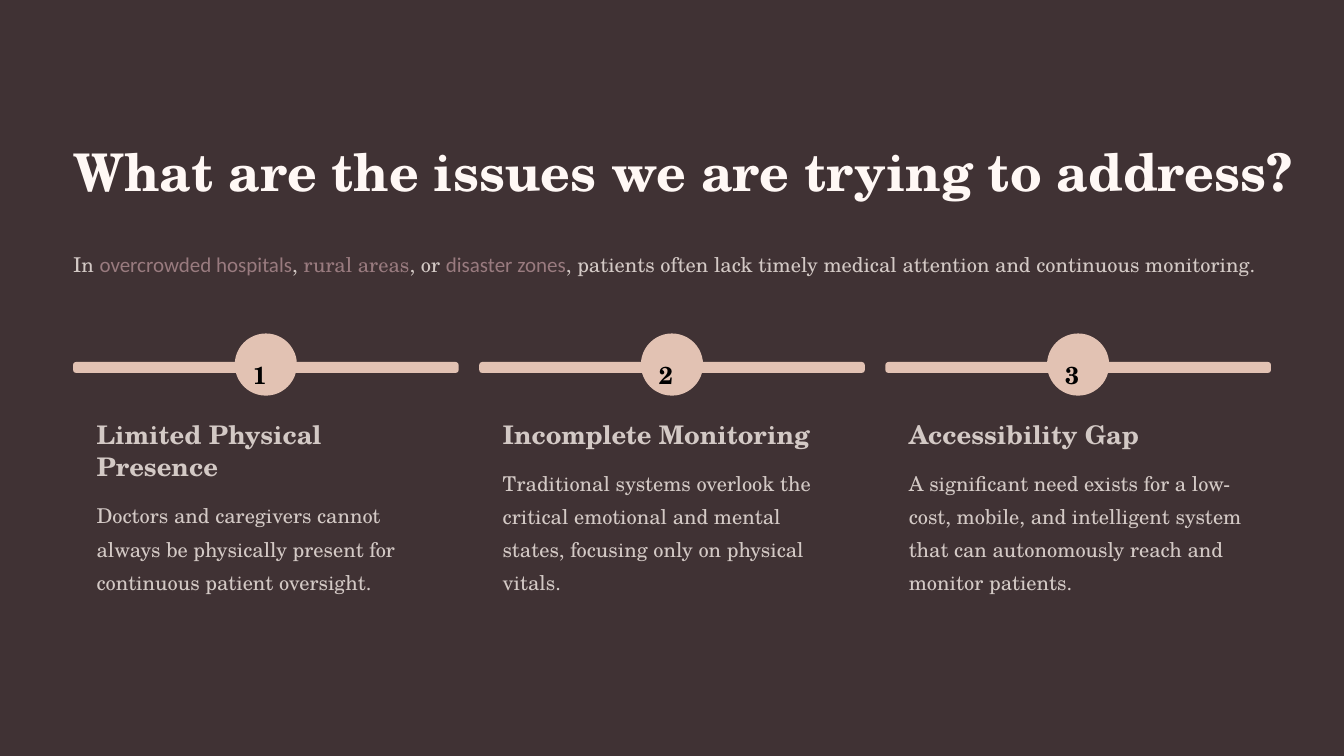
import pptx
import pptx.util
import pptx.dml.color
import pptx.enum.shapes
import pptx.enum.text

Inches = pptx.util.Inches
Pt = pptx.util.Pt
SERIF = "TeX Gyre Schola"
SANS = "Calibri"
HUES = {
    "back": "403234",
    "title": "FFF8F5",
    "body": "D3C9C5",
    "mark": "997B7F",
    "line": "E2C2B3",
    "digit": "000000",
}
LEAD = [
    ("In ", "body", SERIF, 17.5),
    ("overcrowded hospitals", "mark", SANS, 18),
    (", ", "body", SERIF, 17.5),
    ("rural areas", "mark", SERIF, 17.5),
    (", or ", "body", SERIF, 17.5),
    ("disaster zones", "mark", SANS, 18),
    (", patients often lack timely medical attention and continuous monitoring.", "body", SERIF, 17.5),
]
ISSUES = [
    ("Limited Physical Presence",
     "Doctors and caregivers cannot always be physically present for continuous patient oversight.", 2),
    ("Incomplete Monitoring",
     "Traditional systems overlook the critical emotional and mental states, focusing only on physical vitals.", 1),
    ("Accessibility Gap",
     "A significant need exists for a low-cost, mobile, and intelligent system that can autonomously reach "
     "and monitor patients.", 1),
]


def color(name):
    """Return the named colour."""
    return pptx.dml.color.RGBColor.from_string(HUES[name])


def place(shape, box):
    """Move a shape to a box given in inches."""
    shape.left, shape.top, shape.width, shape.height = map(Inches, box)


def style(run, hue, size, bold=False, face=SERIF):
    """Format one run."""
    run.font.name = face
    run.font.size = Pt(size)
    run.font.bold = bold
    run.font.color.rgb = color(hue)


def setup(shape, lead, wrap):
    """Prepare a text frame and return its first paragraph."""
    frame = shape.text_frame
    frame.margin_left = frame.margin_right = frame.margin_top = frame.margin_bottom = 0
    frame.auto_size = pptx.enum.text.MSO_AUTO_SIZE.NONE
    frame.vertical_anchor = pptx.enum.text.MSO_ANCHOR.TOP
    frame.word_wrap = wrap
    para = frame.paragraphs[0]
    para.alignment = pptx.enum.text.PP_ALIGN.LEFT
    para.line_spacing = Pt(lead)
    return para


def label(slide, box, text, hue, size, lead, bold=False, wrap=True):
    """Add a text box in one style."""
    para = setup(slide.shapes.add_textbox(*map(Inches, box)), lead, wrap)
    para.text = text
    style(para.runs[0], hue, size, bold)


def block(slide, box, ratio):
    """Add a plain rounded shape."""
    kind = pptx.enum.shapes.MSO_SHAPE.ROUNDED_RECTANGLE
    shape = slide.shapes.add_shape(kind, *map(Inches, box))
    shape.adjustments[0] = ratio
    shape.fill.solid()
    shape.fill.fore_color.rgb = color("line")
    shape.line.fill.background()
    shape.shadow.inherit = False


def header(slide, box):
    """Fill the title placeholder."""
    title = slide.shapes.title
    place(title, box)
    para = setup(title, 55.5, False)
    para.text = "What are the issues we are trying to address?"
    style(para.runs[0], "title", 44.5, True)


def intro(slide, box):
    """Add the lead sentence with its marked phrases."""
    para = setup(slide.shapes.add_textbox(*map(Inches, box)), 28.5, True)
    for text, hue, face, size in LEAD:
        run = para.add_run()
        run.text = text
        style(run, hue, size, face=face)


def issue(slide, box, number, head, body, rows):
    """Draw one numbered issue column."""
    left, top, width, height = box
    disc = 0.74
    text = left + 0.28
    inner = width - 0.56
    tall = 0.39 * rows
    start = top + 1.14 + tall
    block(slide, (left, top + 0.34, width, 0.13), 0.28)
    block(slide, (left + (width - disc) / 2, top, disc, disc), 0.5)
    label(slide, (left + 2.14, top + 0.19, 0.3, 0.37), str(number), "digit", 21, 34, True, False)
    label(slide, (text, top + 1, inner, tall), head, "body", 22, 27.5, True)
    label(slide, (text, start, inner, top + height - start), body, "body", 17.5, 28.5)


def timeline(slide, box):
    """Spread the issue columns across a box."""
    left, top, width, height = box
    span = 4.59
    step = (width - span) / (len(ISSUES) - 1)
    for i, (head, body, rows) in enumerate(ISSUES):
        issue(slide, (left + i * step, top, span, height), i + 1, head, body, rows)


def main():
    """Build and save the slide."""
    deck = pptx.Presentation()
    deck.slide_width, deck.slide_height = Inches(16), Inches(9)
    slide = deck.slides.add_slide(deck.slide_layouts[5])
    slide.background.fill.solid()
    slide.background.fill.fore_color.rgb = color("back")
    header(slide, (0.87, 1.63, 14.7, 0.78))
    intro(slide, (0.87, 2.9, 14.26, 0.79))
    timeline(slide, (0.87, 3.97, 14.26, 3.12))
    deck.save("out.pptx")


if __name__ == "__main__":
    main()
